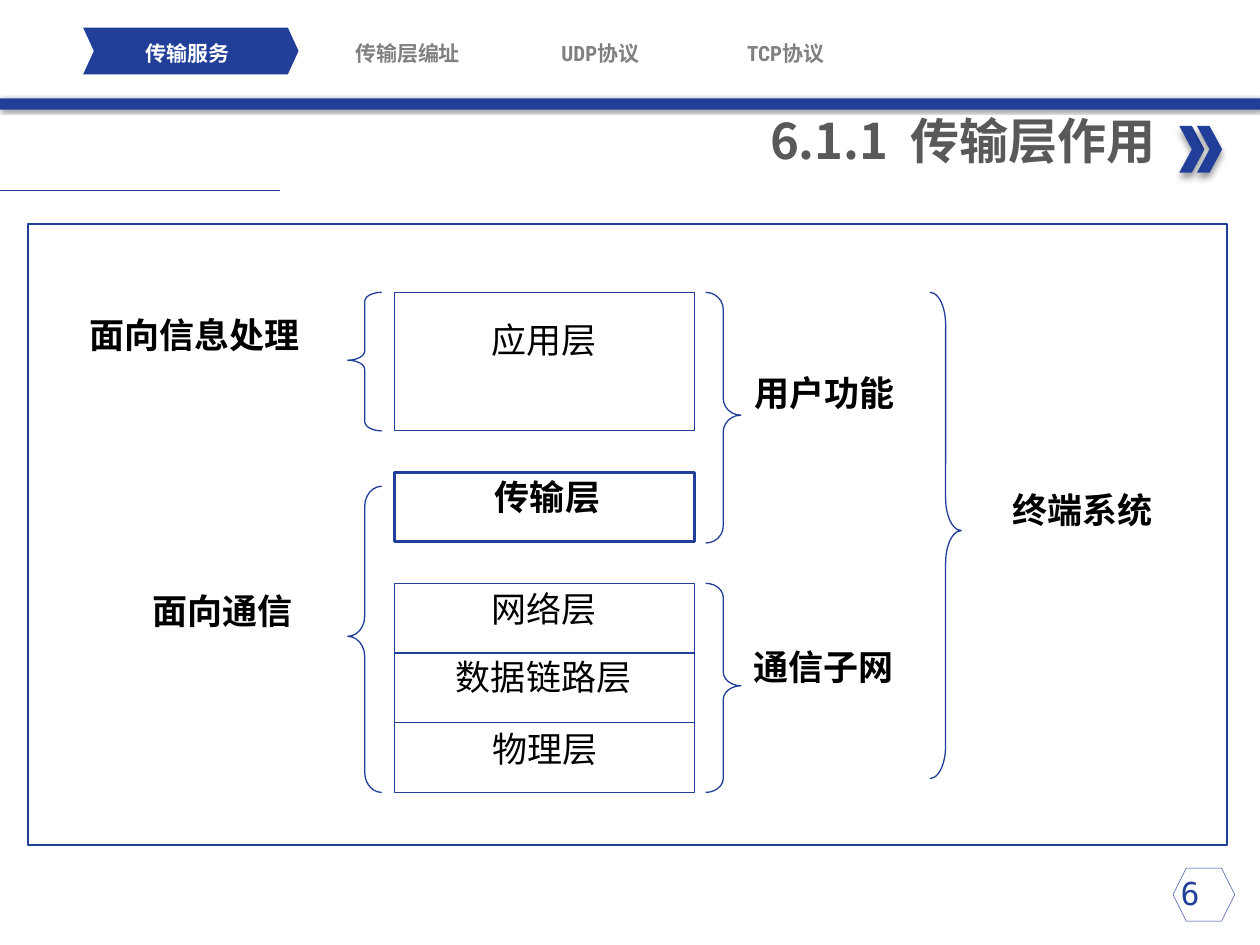
from lxml.etree import SubElement
from pptx import Presentation
from pptx.dml.color import RGBColor
from pptx.enum.shapes import MSO_CONNECTOR, MSO_SHAPE
from pptx.enum.text import MSO_ANCHOR, MSO_AUTO_SIZE, PP_ALIGN
from pptx.oxml import parse_xml
from pptx.oxml.ns import nsdecls, qn
from pptx.util import Inches, Pt

BLUE, GREY, DARK, BLACK, WHITE = "213F99", "808080", "595959", "000000", "FFFFFF"
CJK, LATIN, MONO = "Noto Sans CJK SC", "Roboto Condensed", "DejaVu Sans Mono"

TITLE = "6.1.1  传输层作用"
PAGE = "6"
TABS = [("传输服务", 0.76, WHITE), ("传输层编址", 2.51, GREY),
        ("UDP协议", 4.04, GREY), ("TCP协议", 5.51, GREY)]
STACK_X, STACK_W = 3.13, 2.38
BOXES = [(2.32, 1.1, 0.75), (4.63, 1.66, 0.75), (3.75, 0.55, 1.5)]
LABELS = [
    ("应用层", 3.8, 2.53, 1.1, False),
    ("传输层", 3.83, 3.77, 1.1, True),
    ("网络层", 3.8, 4.66, 1.1, False),
    ("数据链路层", 3.52, 5.2, 1.69, False),
    ("物理层", 3.81, 5.77, 1.1, False),
    ("面向信息处理", 0.61, 2.49, 2.23, True),
    ("面向通信", 1.11, 4.68, 1.64, True),
    ("用户功能", 5.89, 2.95, 1.66, True),
    ("通信子网", 5.88, 5.12, 1.39, True),
    ("终端系统", 7.94, 3.88, 1.66, True),
]
BRACES = [
    (MSO_SHAPE.LEFT_BRACE, 2.76, 2.32, 0.27, 1.1, 0.27),
    (MSO_SHAPE.LEFT_BRACE, 2.76, 3.86, 0.27, 2.43, 0.59),
    (MSO_SHAPE.RIGHT_BRACE, 5.6, 2.32, 0.28, 1.99, 0.48),
    (MSO_SHAPE.RIGHT_BRACE, 5.6, 4.63, 0.28, 1.66, 0.4),
    (MSO_SHAPE.RIGHT_BRACE, 7.38, 2.32, 0.25, 3.86, 1.03),
]


def rgb(value):
    """Turn a hex string into a colour."""
    return RGBColor.from_string(value)


def add_shape(s, kind, x, y, w, h, fill=None, line=None):
    """Add a preset shape with an optional fill and line width."""
    sp = s.shapes.add_shape(kind, Inches(x), Inches(y), Inches(w), Inches(h))
    sp.shadow.inherit = False
    if fill:
        sp.fill.solid()
        sp.fill.fore_color.rgb = rgb(fill)
    else:
        sp.fill.background()
    if line:
        sp.line.color.rgb = rgb(BLUE)
        sp.line.width = Pt(line)
    else:
        sp.line.fill.background()
    return sp


def add_shadow(sp, blur, dist, angle):
    """Give a shape a soft black outer shadow."""
    effects = sp._element.spPr.find(qn("a:effectLst"))
    effects.append(parse_xml(
        f'<a:outerShdw {nsdecls("a")} blurRad="{Pt(blur)}" dist="{Pt(dist)}" '
        f'dir="{angle * 60000}" rotWithShape="0"><a:srgbClr val="000000">'
        '<a:alpha val="40000"/></a:srgbClr></a:outerShdw>'))


def add_line(s, x1, x2, y, width):
    """Add a horizontal line."""
    c = s.shapes.add_connector(MSO_CONNECTOR.STRAIGHT, Inches(x1), Inches(y),
                               Inches(x2), Inches(y))
    c.line.color.rgb = rgb(BLUE)
    c.line.width = Pt(width)
    SubElement(c._element.spPr, qn("a:effectLst"))


def set_text(sp, text, size, color, font=CJK, bold=False, align=PP_ALIGN.LEFT,
             anchor=MSO_ANCHOR.TOP, side=0.1):
    """Write one formatted paragraph into a shape."""
    tf = sp.text_frame
    tf.word_wrap = True
    tf.auto_size = MSO_AUTO_SIZE.NONE
    tf.vertical_anchor = anchor
    tf.margin_left = tf.margin_right = Inches(side)
    tf.margin_top = tf.margin_bottom = 0
    p = tf.paragraphs[0]
    p.text = text
    p.alignment = align
    p.font.size = Pt(size)
    p.font.bold = bold
    p.font.color.rgb = rgb(color)
    p.font.name = font
    SubElement(p.font._element, qn("a:ea")).set("typeface", CJK)


def add_text(s, text, x, y, w, h, *args, **kwargs):
    """Add a text box with one formatted paragraph."""
    sp = s.shapes.add_textbox(Inches(x), Inches(y), Inches(w), Inches(h))
    set_text(sp, text, *args, **kwargs)


def add_header(s):
    """Build the tab bar, the title and the page number."""
    add_shape(s, MSO_SHAPE.HEXAGON, 9.31, 6.89, 0.49, 0.42, line=0.25)
    add_text(s, PAGE, 9.01, 6.94, 0.87, 0.35, 18, BLUE, MONO, align=PP_ALIGN.CENTER)
    bar = add_shape(s, MSO_SHAPE.RECTANGLE, 0, 0.78, 10, 0.09, fill=BLUE)
    add_shadow(bar, 2, 1, 45)
    for x in (9.36, 9.5):
        add_shadow(add_shape(s, MSO_SHAPE.CHEVRON, x, 1, 0.2, 0.37, fill=BLUE), 4, 3, 90)
    title = s.shapes.title
    title.left, title.top = Inches(0.76), Inches(0.88)
    title.width, title.height = Inches(8.51), Inches(0.57)
    set_text(title, TITLE, 28, DARK, bold=True, align=PP_ALIGN.RIGHT)
    add_line(s, 0, 2.22, 1.51, 0.5)
    tab = add_shape(s, MSO_SHAPE.CHEVRON, 0.66, 0.22, 1.71, 0.37, fill=BLUE)
    tab.adjustments[0] = 0.23
    for text, x, color in TABS:
        add_text(s, text, x, 0.32, 1.45, 0.2, 12, color, LATIN, bold=True,
                 align=PP_ALIGN.CENTER, anchor=MSO_ANCHOR.MIDDLE, side=0)


def add_diagram(s):
    """Build the layer stack with its braces, labels and frame."""
    for y, h, width in BOXES:
        add_shape(s, MSO_SHAPE.RECTANGLE, STACK_X, y, STACK_W, h, line=width)
    _, (top, height, width), _ = BOXES
    for i in (1, 2):
        add_line(s, STACK_X, STACK_X + STACK_W, top + i * height / 3, width)
    for kind, x, y, w, h, curve in BRACES:
        brace = add_shape(s, kind, x, y, w, h, line=0.75)
        brace.adjustments[0] = curve
        brace.adjustments[1] = 0.49
    for text, x, y, w, bold in LABELS:
        add_text(s, text, x, y, w, 0.57, 20, BLACK, bold=bold)
    add_shape(s, MSO_SHAPE.RECTANGLE, 0.22, 1.78, 9.52, 4.93, line=1)


def main():
    """Build and save the slide."""
    prs = Presentation()
    prs.slide_width, prs.slide_height = Inches(10), Inches(7.5)
    s = prs.slides.add_slide(prs.slide_layouts[5])
    add_header(s)
    add_diagram(s)
    prs.save("out.pptx")


if __name__ == "__main__":
    main()
